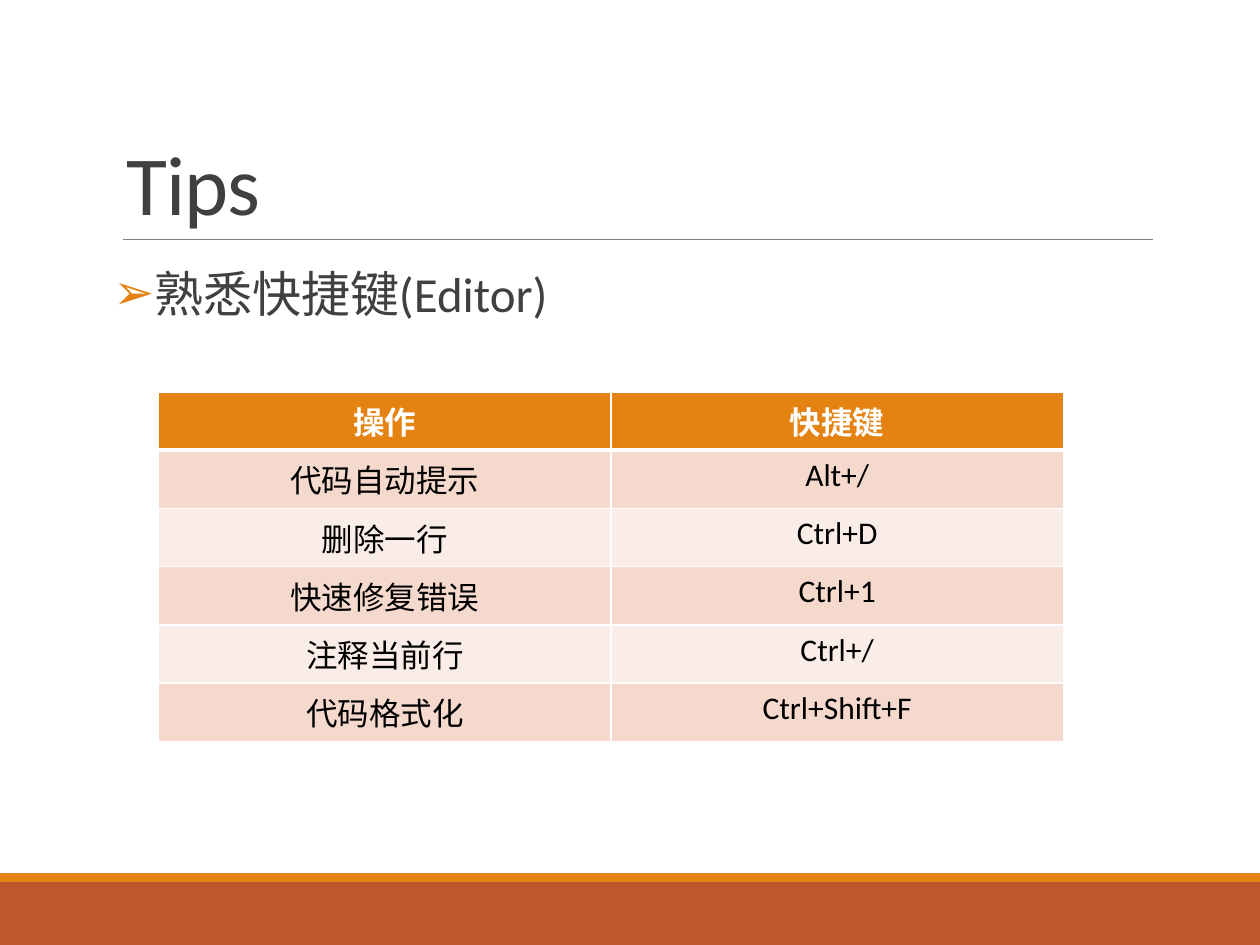
import lxml.etree
import pptx
import pptx.dml.color
import pptx.enum.shapes
import pptx.enum.text
import pptx.oxml.ns
import pptx.util

TITLE = "Tips"
TOPIC = "熟悉快捷键(Editor)"
SHORTCUTS = [
    ("操作", "快捷键"),
    ("代码自动提示", "Alt+/"),
    ("删除一行", "Ctrl+D"),
    ("快速修复错误", "Ctrl+1"),
    ("注释当前行", "Ctrl+/"),
    ("代码格式化", "Ctrl+Shift+F"),
]
COLORS = {
    "accent": "E48312", "footer": "BD582C", "rule": "808080", "text": "404040",
    "odd": "F5D9CC", "even": "FAEDE7", "white": "FFFFFF", "black": "000000",
}
FONT = "Calibri"
WIDTH, HEIGHT = 10, 7.5
LEFT, CONTENT_WIDTH, RULE_Y = 0.9, 8.25, 1.9
FOOTER_HEIGHT, STRIPE_HEIGHT = 0.5, 0.07
TABLE_LEFT, TABLE_TOP, COLUMN_WIDTH, ROW_HEIGHT = 1.26, 3.11, 3.59, 0.45

ALIGN = pptx.enum.text.PP_ALIGN
ANCHOR = pptx.enum.text.MSO_ANCHOR
inches, points = pptx.util.Inches, pptx.util.Pt


def rgb(key):
    """Return a named colour."""
    return pptx.dml.color.RGBColor.from_string(COLORS[key])


def apply(target, formats):
    """Set each attribute in a dict of format values."""
    for attribute, value in formats.items():
        setattr(target, attribute, value)


def add_xml(parent, tag, **attributes):
    """Append a DrawingML element."""
    return lxml.etree.SubElement(parent, pptx.oxml.ns.qn(tag), attributes)


def write(frame, text, size, color, bold=False, **paragraph_formats):
    """Put one formatted paragraph in a text frame and return it."""
    paragraph = frame.paragraphs[0]
    run = paragraph.add_run()
    run.text = text
    apply(run.font, {"name": FONT, "size": points(size), "bold": bold})
    run.font.color.rgb = rgb(color)
    apply(paragraph, paragraph_formats)
    return paragraph


def place(part, left, top, width, height):
    """Move and size a placeholder."""
    apply(part, {"left": inches(left), "top": inches(top),
                 "width": inches(width), "height": inches(height)})


def add_band(slide, top, height, color):
    """Draw a band across the slide."""
    band = slide.shapes.add_shape(
        pptx.enum.shapes.MSO_SHAPE.RECTANGLE, 0, inches(top), inches(WIDTH), inches(height))
    band.shadow.inherit = False
    band.fill.solid()
    band.fill.fore_color.rgb = rgb(color)
    band.line.fill.background()


def add_rule(slide):
    """Draw the thin line under the title."""
    rule = slide.shapes.add_connector(
        pptx.enum.shapes.MSO_CONNECTOR.STRAIGHT,
        inches(0.98), inches(RULE_Y), inches(LEFT + CONTENT_WIDTH), inches(RULE_Y))
    rule.line.color.rgb = rgb("rule")
    rule.line.width = points(0.5)
    add_xml(rule.element.spPr, "a:effectLst")


def add_title(slide):
    """Fill the title placeholder."""
    title = slide.shapes.title
    place(title, LEFT, 0.31, CONTENT_WIDTH, RULE_Y - 0.31)
    apply(title.text_frame, {"vertical_anchor": ANCHOR.BOTTOM, "word_wrap": True,
                             "auto_size": pptx.enum.text.MSO_AUTO_SIZE.NONE})
    heading = write(title.text_frame, TITLE, 48, "text", alignment=ALIGN.LEFT, line_spacing=0.85)
    heading.runs[0].font._element.set("spc", "-50")


def add_topic(slide):
    """Fill the body placeholder with the arrow-bulleted topic."""
    body = slide.placeholders[1]
    place(body, LEFT, 2.09, CONTENT_WIDTH, 4.4)
    apply(body.text_frame, {"margin_left": 0, "margin_right": 0, "word_wrap": True,
                            "vertical_anchor": ANCHOR.TOP,
                            "auto_size": pptx.enum.text.MSO_AUTO_SIZE.NONE})
    topic = write(body.text_frame, TOPIC, 28, "text", alignment=ALIGN.LEFT, line_spacing=0.9,
                  space_before=points(12), space_after=points(2))
    properties = topic._p.get_or_add_pPr()
    properties.set("marL", str(inches(0.1)))
    properties.set("indent", str(inches(-0.1)))
    add_xml(add_xml(properties, "a:buClr"), "a:srgbClr", val=COLORS["accent"])
    add_xml(properties, "a:buFont", typeface=FONT)
    add_xml(properties, "a:buChar", char="➢")


def add_borders(cell, widths):
    """Give a cell white borders, with widths in points by side."""
    properties = cell._tc.get_or_add_tcPr()
    for side, width in widths.items():
        border = add_xml(properties, "a:ln" + side, w=str(points(width)))
        add_xml(add_xml(border, "a:solidFill"), "a:srgbClr", val=COLORS["white"])


def add_shortcuts(slide):
    """Build the table of shortcuts."""
    rows, columns = len(SHORTCUTS), len(SHORTCUTS[0])
    table = slide.shapes.add_table(
        rows, columns, inches(TABLE_LEFT), inches(TABLE_TOP),
        inches(COLUMN_WIDTH * columns), inches(ROW_HEIGHT * rows)).table
    for r, entry in enumerate(SHORTCUTS):
        header = r == 0
        fill = "accent" if header else ("even", "odd")[r % 2]
        for c, text in enumerate(entry):
            cell = table.cell(r, c)
            add_borders(cell, {"L": 1, "R": 1, "T": 3 if r == 1 else 1, "B": 3 if header else 1})
            cell.fill.solid()
            cell.fill.fore_color.rgb = rgb(fill)
            write(cell.text_frame, text, 18, "white" if header else "black",
                  bold=header, alignment=ALIGN.CENTER)


deck = pptx.Presentation()
apply(deck, {"slide_width": inches(WIDTH), "slide_height": inches(HEIGHT)})
tips = deck.slides.add_slide(deck.slide_layouts[1])
footer_top = HEIGHT - FOOTER_HEIGHT
add_band(tips, footer_top, FOOTER_HEIGHT, "footer")
add_band(tips, footer_top - STRIPE_HEIGHT, STRIPE_HEIGHT, "accent")
add_rule(tips)
add_title(tips)
add_topic(tips)
add_shortcuts(tips)
deck.save("out.pptx")
